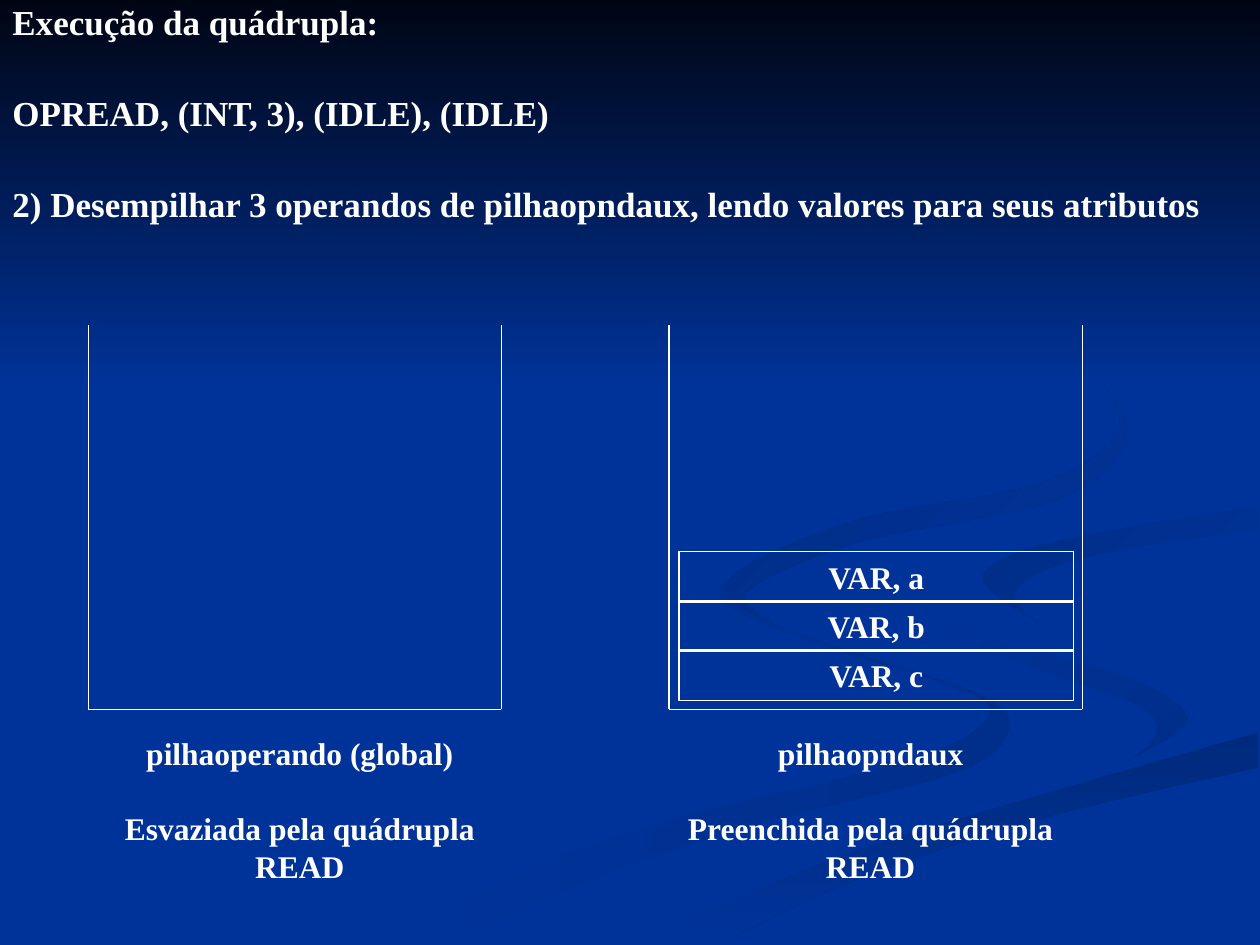
import pptx
import pptx.dml.color
import pptx.enum.shapes
import pptx.enum.text
import pptx.oxml
import pptx.util
from pptx.util import Inches

WHITE = pptx.dml.color.RGBColor(0xFF, 0xFF, 0xFF)
BLUE = pptx.dml.color.RGBColor(0x00, 0x33, 0x99)
NIGHT = pptx.dml.color.RGBColor(0x00, 0x05, 0x14)
TAIL_BLUE = pptx.dml.color.RGBColor(0x00, 0x2E, 0x8B)
STREAM_BLUE = pptx.dml.color.RGBColor(0x00, 0x2A, 0x7D)
BEND_BLUE = pptx.dml.color.RGBColor(0x00, 0x2D, 0x86)
CURL_BLUE = pptx.dml.color.RGBColor(0x00, 0x2B, 0x82)

FONT = "Times New Roman"
LINE_WIDTH = pptx.util.Pt(0.75)
SLIDE_WIDTH, SLIDE_HEIGHT = 10, 7.5
SKY_HEIGHT = 3.08
CURVE_STEPS = 6  # straight pieces between two knots of a ribbon edge

# Knots of the ribbon edges in inches, each edge running downstream
TAIL_OUTER = [(5.75, 4.59), (6.02, 4.9), (6.82, 5.19), (7.81, 5.53), (8, 5.81),
              (7.56, 6.14), (5.94, 6.56), (4.66, 7), (3.61, 7.49)]
TAIL_INNER = [(5.75, 4.59), (5.76, 4.8), (6.54, 5.13), (7.52, 5.43), (7.86, 5.66),
              (7.27, 6.02), (5.39, 6.49), (4.17, 6.9), (3, 7.49)]
RIVER_ENTRY = [(9.99, 3.87), (8.74, 4.08), (7.7, 4.27), (7.24, 4.64)]
RIVER_TURN = [(7.24, 4.64), (7.75, 5.03), (8.89, 5.35), (9.43, 5.7), (8.94, 6.05)]
RIVER_EXIT = [(8.94, 6.05), (7.04, 6.55), (5.73, 7.03), (4.77, 7.49)]
TURN_INNER = [(7.24, 4.64), (7.55, 5.05), (8.38, 5.36), (9.07, 5.62),
              (9.17, 5.85), (8.94, 6.05)]
BEND_OUTER = [(9.99, 4.02), (8.65, 4.24), (7.99, 4.42), (7.81, 4.63), (8.26, 4.96)]
BEND_INNER = [(9.99, 4.2), (8.96, 4.35), (8.28, 4.53), (8.05, 4.74), (8.26, 4.96)]
BEND_EXIT = [(8.26, 4.96), (9.04, 5.19), (9.99, 5.38)]
STREAM_UPPER = [(9.99, 5.81), (8.32, 6.29), (6.62, 6.81), (5.03, 7.49)]
STREAM_LOWER = [(9.99, 6.09), (8.21, 6.51), (6.7, 7.02), (5.71, 7.49)]
CURL_OUTER = [(7.62, 2.33), (8.54, 2.83), (8.94, 3.44), (8.41, 3.96),
              (6.83, 4.3), (5.93, 4.7), (6.22, 5)]
CURL_INNER = [(7.62, 2.33), (8.46, 2.79), (8.89, 3.35), (8.3, 3.82),
              (6.76, 4.14), (5.77, 4.62), (6.22, 5)]

# Edges of one side, edges of the other side, first colour, last colour, angle
RIBBONS = [
    ([TAIL_OUTER], [TAIL_INNER], BLUE, TAIL_BLUE, 0),
    ([RIVER_TURN], [TURN_INNER], BLUE, TAIL_BLUE, 45),
    ([STREAM_UPPER], [STREAM_LOWER], STREAM_BLUE, BLUE, 90),
    ([RIVER_ENTRY, RIVER_TURN, RIVER_EXIT], [BEND_OUTER, BEND_EXIT, STREAM_UPPER],
     BLUE, BLUE, 0),
    ([BEND_OUTER], [BEND_INNER], BEND_BLUE, BLUE, 45),
    ([CURL_OUTER], [CURL_INNER], CURL_BLUE, BLUE, 45),
]

HEADING = [
    "Execução da quádrupla:",
    "OPREAD, (INT, 3), (IDLE), (IDLE)",
    "2) Desempilhar 3 operandos de pilhaopndaux, lendo valores para seus atributos",
]
# Left side of the stack, left side of its caption, caption
STACKS = [
    (0.7, 0.78, ["pilhaoperando (global)", "Esvaziada pela quádrupla READ"]),
    (5.31, 5.31, ["pilhaopndaux", "Preenchida pela quádrupla READ"]),
]
STACK_TOP, STACK_BOTTOM, STACK_WIDTH = 2.58, 5.63, 3.28
OPERANDS = ["VAR, a", "VAR, b", "VAR, c"]
OPERAND_LEFT, OPERAND_TOP, OPERAND_PITCH = 5.39, 4.38, 0.39
OPERAND_WIDTH, OPERAND_HEIGHT = 3.13, 0.4


def write(frame, paragraphs, size=18, align=pptx.enum.text.PP_ALIGN.CENTER,
          gap=0, line_spacing=None):
    """Fill a text frame; gap is the space in points between paragraphs."""
    frame.word_wrap = True
    frame.vertical_anchor = pptx.enum.text.MSO_ANCHOR.TOP
    for index, text in enumerate(paragraphs):
        paragraph = frame.add_paragraph() if index else frame.paragraphs[0]
        paragraph.text = text
        paragraph.alignment = align
        if index:
            paragraph.space_before = pptx.util.Pt(gap)
        if line_spacing:
            paragraph.line_spacing = pptx.util.Pt(line_spacing)
        font = paragraph.font
        font.name, font.size, font.bold = FONT, pptx.util.Pt(size), True
        font.color.rgb = WHITE


def add_text(slide, left, top, width, height, paragraphs, **style):
    box = slide.shapes.add_textbox(
        Inches(left), Inches(top), Inches(width), Inches(height))
    write(box.text_frame, paragraphs, **style)


def smooth(knots):
    """Return points on the Catmull-Rom curve through the knots."""
    padded = [knots[0], *knots, knots[-1]]
    points = []
    for before, start, end, after in zip(padded, padded[1:], padded[2:], padded[3:]):
        for step in range(CURVE_STEPS):
            t = step / CURVE_STEPS
            points.append(tuple(
                b + t / 2 * (c - a + t * (2 * a - 5 * b + 4 * c - d
                                          + t * (3 * b - a - 3 * c + d)))
                for a, b, c, d in zip(before, start, end, after)))
    return points + [knots[-1]]


def paint_gradient(shape, first, last, angle):
    """Fill from first to last colour at a clockwise angle, without outline."""
    shape.shadow.inherit = False
    shape.line.fill.background()
    shape.fill.gradient()
    shape.fill.gradient_angle = -angle % 360
    for stop, color in zip(shape.fill.gradient_stops, (first, last)):
        stop.color.rgb = color


def add_ribbon(slide, near_edges, far_edges, first, last, angle):
    near, far = ([point for edge in edges for point in smooth(edge)]
                 for edges in (near_edges, far_edges))
    outline = [(Inches(x), Inches(y)) for x, y in near + far[::-1]]
    builder = slide.shapes.build_freeform(*outline[0])
    builder.add_line_segments(outline[1:], close=True)
    paint_gradient(builder.convert_to_shape(), first, last, angle)


def add_rectangle(slide, left, top, width, height):
    return slide.shapes.add_shape(
        pptx.enum.shapes.MSO_SHAPE.RECTANGLE,
        Inches(left), Inches(top), Inches(width), Inches(height))


def add_backdrop(slide):
    slide.background.fill.solid()
    slide.background.fill.fore_color.rgb = BLUE
    for ribbon in RIBBONS:
        add_ribbon(slide, *ribbon)
    sky = add_rectangle(slide, 0, 0, SLIDE_WIDTH, SKY_HEIGHT)
    paint_gradient(sky, NIGHT, BLUE, 90)


def add_line(slide, start, end):
    line = slide.shapes.add_connector(
        pptx.enum.shapes.MSO_CONNECTOR.STRAIGHT,
        *(Inches(value) for value in (*start, *end)))
    line.line.color.rgb = WHITE
    line.line.width = LINE_WIDTH
    properties = line._element.spPr
    properties.append(properties.makeelement(pptx.oxml.ns.qn("a:effectLst"), {}))


def add_stack(slide, left):
    """Draw a container that is open at the top."""
    right = left + STACK_WIDTH
    corners = [(left, STACK_TOP), (left, STACK_BOTTOM),
               (right, STACK_BOTTOM), (right, STACK_TOP)]
    for start, end in zip(corners, corners[1:]):
        add_line(slide, start, end)


def add_operand(slide, top, text):
    operand = add_rectangle(slide, OPERAND_LEFT, top, OPERAND_WIDTH, OPERAND_HEIGHT)
    operand.shadow.inherit = False
    operand.fill.background()
    operand.line.color.rgb = WHITE
    operand.line.width = LINE_WIDTH
    write(operand.text_frame, [text])


def main():
    deck = pptx.Presentation()
    deck.slide_width, deck.slide_height = Inches(SLIDE_WIDTH), Inches(SLIDE_HEIGHT)
    slide = deck.slides.add_slide(deck.slide_layouts[6])
    add_backdrop(slide)
    add_text(slide, 0, 0, SLIDE_WIDTH, SLIDE_HEIGHT, HEADING, size=20, gap=31,
             line_spacing=21, align=pptx.enum.text.PP_ALIGN.LEFT)
    for left, caption_left, caption in STACKS:
        add_stack(slide, left)
        add_text(slide, caption_left, 5.78, 3.2, 1.3, caption, gap=21)
    for row, operand in enumerate(OPERANDS):
        add_operand(slide, OPERAND_TOP + row * OPERAND_PITCH, operand)
    deck.save("out.pptx")


if __name__ == "__main__":
    main()
